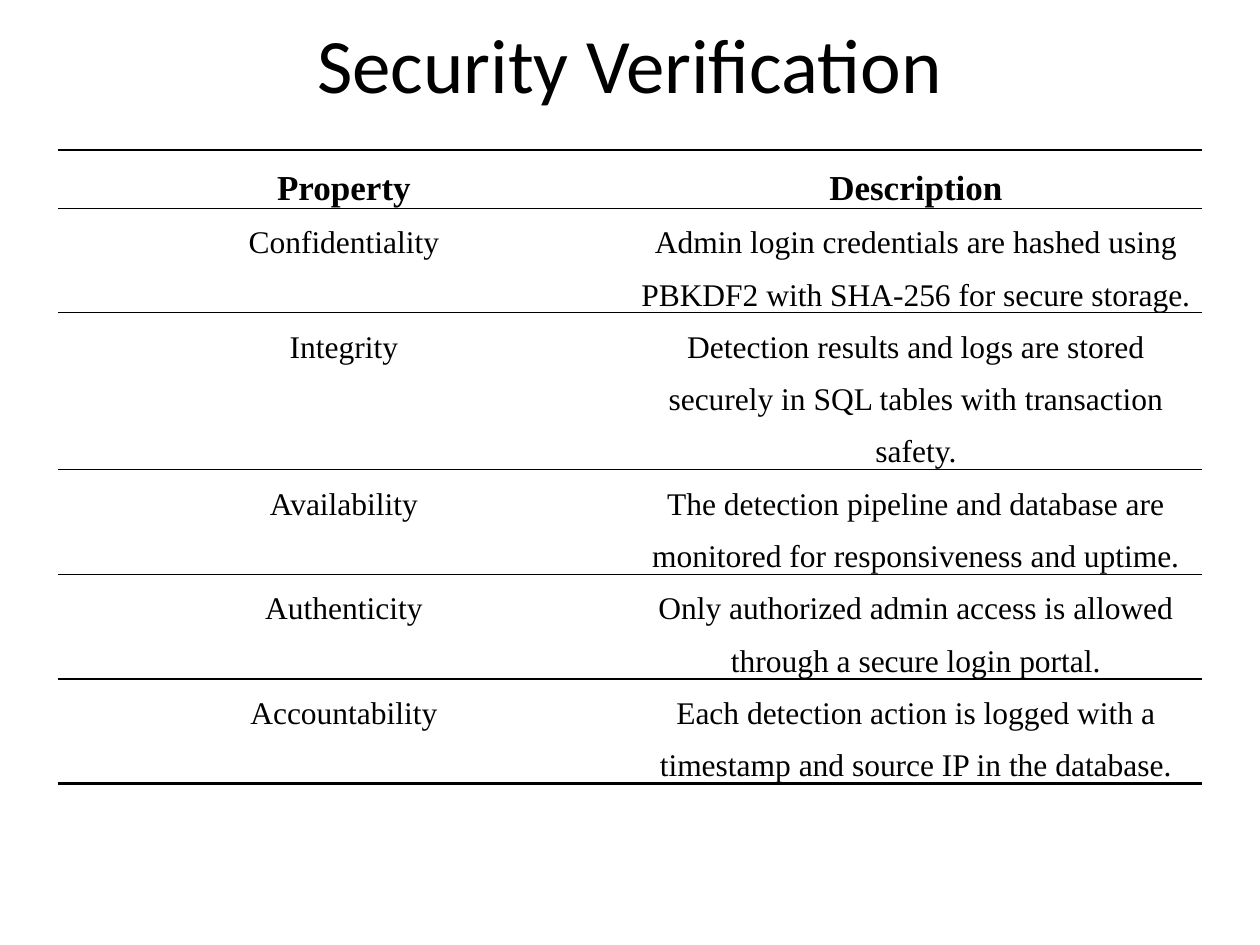
"""Build the Security Verification slide with its table of properties."""
from lxml import etree
from pptx import Presentation
from pptx.dml.color import RGBColor
from pptx.enum.text import MSO_ANCHOR, PP_ALIGN
from pptx.oxml.ns import qn
from pptx.util import Inches, Pt

CENTER = PP_ALIGN.CENTER
MIDDLE = MSO_ANCHOR.MIDDLE
TOP = MSO_ANCHOR.TOP
COLORS = {"ink": "000000", "paper": "FFFFFF"}
THIN, THICK = 0.75, 1.5

TITLE = "Security Verification"
ROWS = [
    ("Property", "Description"),
    ("Confidentiality", "Admin login credentials are hashed using PBKDF2 with SHA-256 for secure storage."),
    ("Integrity", "Detection results and logs are stored securely in SQL tables with transaction safety."),
    ("Availability", "The detection pipeline and database are monitored for responsiveness and uptime."),
    ("Authenticity", "Only authorized admin access is allowed through a secure login portal."),
    ("Accountability", "Each detection action is logged with a timestamp and source IP in the database."),
]
ROW_HEIGHTS = [0.38, 0.73, 1.11, 0.73, 0.73, 0.73]
COLUMN_WIDTH = 4.54


def write(frame, text, font="Times New Roman", size=18, bold=False, spacing=None):
    para = frame.paragraphs[0]
    para.alignment = CENTER
    para.line_spacing = spacing
    span = para.add_run()
    span.text = text
    span.font.name = font
    span.font.size = Pt(size)
    span.font.bold = bold
    span.font.color.rgb = RGBColor.from_string(COLORS["ink"])


def set_borders(cell, top, bottom):
    properties = cell._tc.get_or_add_tcPr()
    for side, width in (("L", 0), ("R", 0), ("T", top), ("B", bottom)):
        line = etree.SubElement(properties, qn(f"a:ln{side}"), w=str(Pt(width)))
        if width:
            fill = etree.SubElement(line, qn("a:solidFill"))
            etree.SubElement(fill, qn("a:srgbClr"), val=COLORS["ink"])
        else:
            etree.SubElement(line, qn("a:noFill"))


def add_title(page):
    title = page.shapes.title
    title.left, title.top = Inches(0.5), Inches(0)
    title.width, title.height = Inches(9), Inches(1)
    title.text_frame.vertical_anchor = MIDDLE
    write(title.text_frame, TITLE, font="Calibri", size=44)


def add_properties(page):
    last = len(ROWS) - 1
    table = page.shapes.add_table(
        len(ROWS), len(ROWS[0]), Inches(0.46), Inches(1.19),
        Inches(COLUMN_WIDTH * len(ROWS[0])), Inches(sum(ROW_HEIGHTS)),
    ).table
    table.first_row = table.horz_banding = False
    for column in table.columns:
        column.width = Inches(COLUMN_WIDTH)
    for index, (texts, height) in enumerate(zip(ROWS, ROW_HEIGHTS)):
        table.rows[index].height = Inches(height)
        header = index == 0
        for cell, text in zip(table.rows[index].cells, texts):
            cell.margin_left = cell.margin_right = Inches(0.07)
            cell.margin_top = cell.margin_bottom = Inches(0)
            cell.vertical_anchor = TOP
            set_borders(cell, THICK if header else THIN, THICK if index == last else THIN)
            cell.fill.background()
            write(cell.text_frame, text, size=20 if header else 18, bold=header, spacing=1.5)


def main():
    deck = Presentation()
    deck.slide_width, deck.slide_height = Inches(10), Inches(7.5)
    page = deck.slides.add_slide(deck.slide_layouts[5])
    page.background.fill.solid()
    page.background.fill.fore_color.rgb = RGBColor.from_string(COLORS["paper"])
    add_title(page)
    add_properties(page)
    deck.save("out.pptx")


if __name__ == "__main__":
    main()
